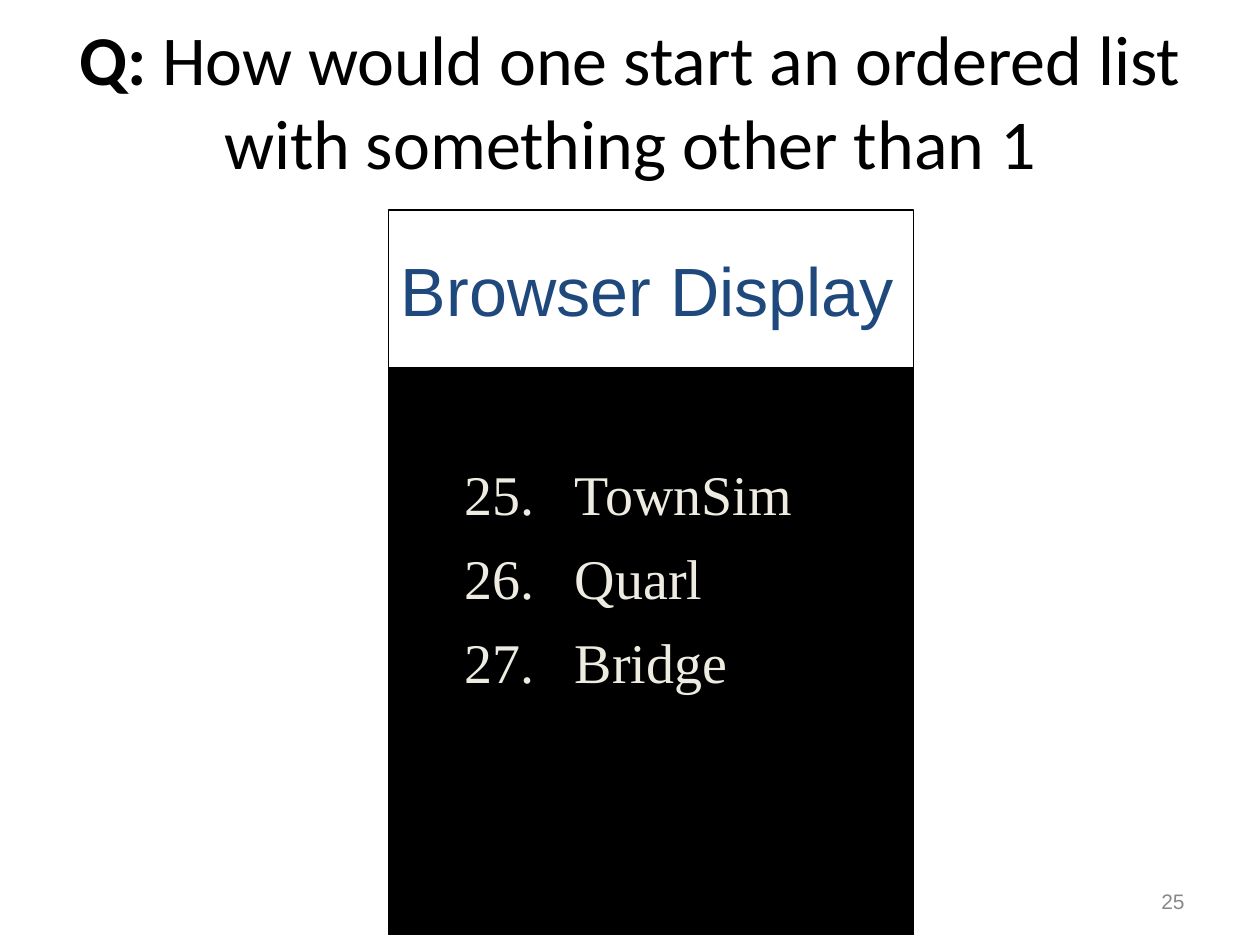
from lxml.etree import SubElement
from pptx import Presentation
from pptx.dml.color import RGBColor
from pptx.enum.shapes import MSO_SHAPE
from pptx.enum.text import MSO_ANCHOR, MSO_AUTO_SIZE, PP_ALIGN
from pptx.oxml.ns import qn
from pptx.util import Inches, Pt

COLORS = {"ink": "000000", "cream": "EEECE1", "navy": "1F497D", "gray": "898989"}
UNIT = Inches(1) / 12
LEFT, WIDE = 37, 50  # shared column of the browser panel


def color(name):
    return RGBColor.from_string(COLORS[name])


def grid(*cells):
    """Turn twelfths of an inch into lengths."""
    return [round(cell * UNIT) for cell in cells]


def place(shape, *cells):
    shape.left, shape.top, shape.width, shape.height = grid(*cells)


def style(para, size, face, tint, align=PP_ALIGN.LEFT):
    para.alignment = align
    for run in para.runs:
        font = run.font
        font.size, font.name = Pt(size), face
        font.color.rgb = color(tint)


def outline(shape):
    shape.line.color.rgb = color("ink")
    shape.line.width = Pt(0.75)


def add_title(slide, lead, rest):
    title = slide.shapes.title
    place(title, 0, 2, 120, 15)
    frame = title.text_frame
    frame.auto_size = MSO_AUTO_SIZE.NONE
    frame.vertical_anchor = MSO_ANCHOR.MIDDLE
    frame.text = lead
    para = frame.paragraphs[0]
    para.add_run().text = rest
    style(para, 40, "Calibri", "ink", PP_ALIGN.CENTER)
    para.runs[0].font.bold = True


def number(para, start, tint, face):
    """Give a paragraph an automatic number and a hanging indent."""
    props = para._p.get_or_add_pPr()
    props.set("marL", str(Inches(1.38)))
    props.set("indent", str(Inches(-0.88)))
    tone = SubElement(props, qn("a:buClr"))
    SubElement(tone, qn("a:srgbClr"), val=COLORS[tint])
    SubElement(props, qn("a:buFont"), typeface=face)
    SubElement(props, qn("a:buAutoNum"), type="arabicPeriod", startAt=str(start))


def add_list(slide, items, start):
    body = slide.placeholders[1]
    place(body, LEFT, 35, WIDE, 54)
    body.fill.solid()
    body.fill.fore_color.rgb = color("ink")
    outline(body)
    frame = body.text_frame
    frame.auto_size = MSO_AUTO_SIZE.NONE
    frame.vertical_anchor = MSO_ANCHOR.TOP
    frame.margin_top = Inches(0.73)
    frame.text = "\n".join(items)
    for para in frame.paragraphs:
        style(para, 32, "Times New Roman", "cream")
        para.space_before, para.space_after = Pt(0), Pt(9.5)
        number(para, start, "cream", "Times New Roman")


def add_header(slide, text):
    box = slide.shapes.add_shape(MSO_SHAPE.RECTANGLE, *grid(LEFT, 20, WIDE, 15))
    box.shadow.inherit = False
    box.fill.background()
    outline(box)
    box.text_frame.vertical_anchor = MSO_ANCHOR.MIDDLE
    box.text_frame.text = text
    style(box.text_frame.paragraphs[0], 39, "Arial", "navy")


def add_page(slide, text):
    box = slide.shapes.add_textbox(*grid(86, 83.4, 28, 4.8))
    frame = box.text_frame
    frame.word_wrap = True
    frame.vertical_anchor = MSO_ANCHOR.MIDDLE
    frame.text = text
    style(frame.paragraphs[0], 12, "Arial", "gray", PP_ALIGN.RIGHT)


def main():
    deck = Presentation()
    deck.slide_width, deck.slide_height = Inches(10), Inches(7.5)
    slide = deck.slides.add_slide(deck.slide_layouts[1])
    add_title(slide, "Q:", " How would one start an ordered list with something other than 1")
    add_page(slide, "25")
    add_list(slide, ["TownSim", "Quarl", "Bridge"], 25)
    add_header(slide, "Browser Display")
    deck.save("out.pptx")


if __name__ == "__main__":
    main()
